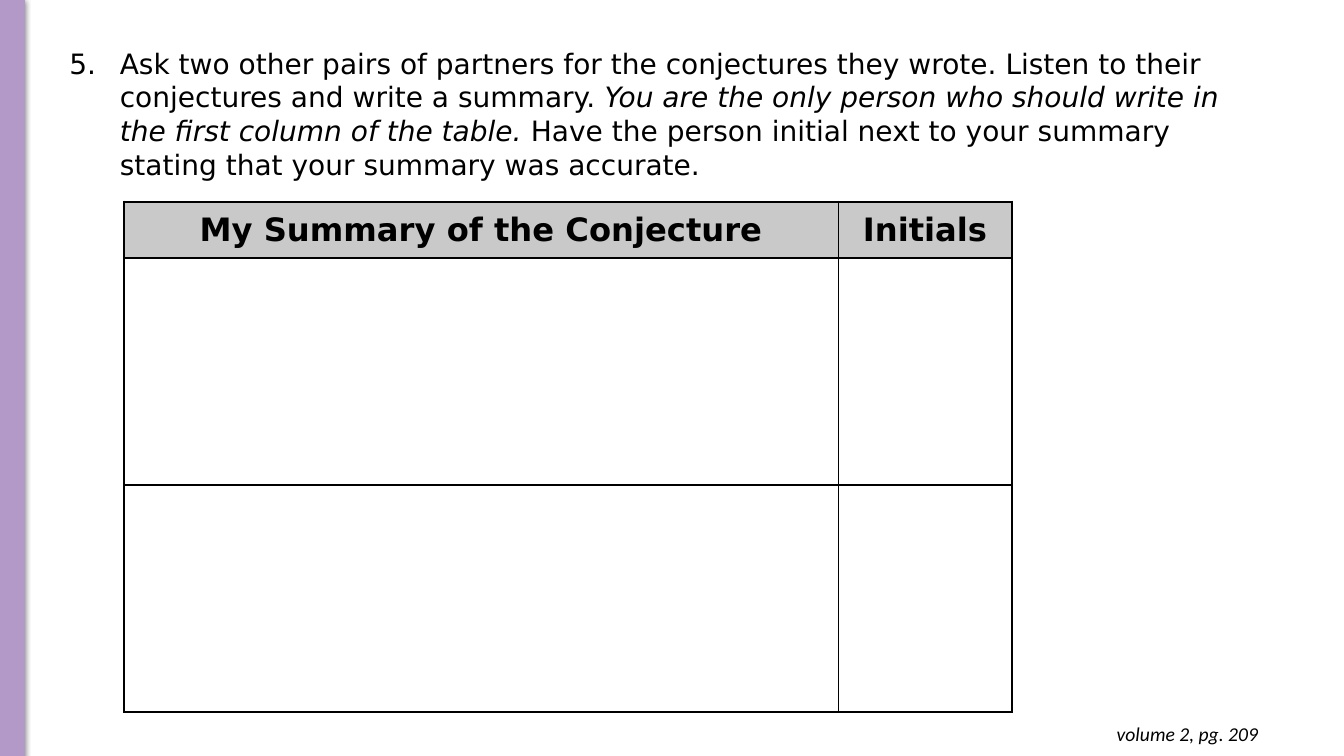
import pptx
import pptx.util
import pptx.dml.color
import pptx.enum.shapes
import pptx.enum.text
import pptx.oxml
import pptx.oxml.ns
from pptx.util import Cm, Pt

NS = pptx.oxml.ns.nsdecls("a")
ALIGN = pptx.enum.text.PP_ALIGN
BODY_FONT = "DejaVu Sans"


def rgb(hex_color):
    return pptx.dml.color.RGBColor.from_string(hex_color)


def add_run(paragraph, text, size, font, bold=False, italic=False):
    run = paragraph.add_run()
    run.text = text
    run.font.size = Pt(size)
    run.font.name = font
    run.font.bold = bold
    run.font.italic = italic
    run.font.color.rgb = rgb("000000")


deck = pptx.Presentation()
deck.slide_width = Cm(33.87)
deck.slide_height = Cm(19.05)
slide = deck.slides.add_slide(deck.slide_layouts[6])

# Side band with a soft shadow
band = slide.shapes.add_shape(
    pptx.enum.shapes.MSO_SHAPE.RECTANGLE, Cm(0), Cm(-0.02), Cm(0.61), Cm(19.08))
band.fill.solid()
band.fill.fore_color.rgb = rgb("B399C8")
band.line.color.rgb = rgb("B399C8")
band.line.width = Pt(0.75)
band.shadow.inherit = False
effects = band.element.spPr.find(pptx.oxml.ns.qn("a:effectLst"))
effects.append(pptx.oxml.parse_xml(
    f'<a:outerShdw {NS} blurRad="{Pt(4.5)}" dist="{Pt(1.5)}" dir="5400000" rotWithShape="0">'
    '<a:srgbClr val="000000"><a:alpha val="50000"/></a:srgbClr></a:outerShdw>'))

# Numbered task
task = slide.shapes.add_textbox(Cm(1.5), Cm(1.04), Cm(30.45), Cm(3.68)).text_frame
task.word_wrap = True
task.auto_size = pptx.enum.text.MSO_AUTO_SIZE.SHAPE_TO_FIT_TEXT
instruction = task.paragraphs[0]
numbering = instruction._p.get_or_add_pPr()
numbering.set("marL", str(Cm(1.27)))
numbering.set("indent", str(Cm(-1.27)))
for bullet in ('<a:buClr {}><a:srgbClr val="000000"/></a:buClr>',
               '<a:buFont {} typeface="+mj-lt"/>',
               '<a:buAutoNum {} type="arabicPeriod" startAt="5"/>'):
    numbering.append(pptx.oxml.parse_xml(bullet.format(NS)))
for text, italic in (
        ("Ask two other pairs of partners for the conjectures they wrote. "
         "Listen to their conjectures and write a summary. ", False),
        ("You are the only person who should write in the first column of the table.", True),
        (" Have the person initial next to your summary "
         "stating that your summary was accurate.", False)):
    add_run(instruction, text, 20, BODY_FONT, italic=italic)

# Page reference
reference = slide.shapes.add_textbox(Cm(24.64), Cm(17.93), Cm(7.32), Cm(1.12)).text_frame
reference.word_wrap = True
reference.auto_size = pptx.enum.text.MSO_AUTO_SIZE.SHAPE_TO_FIT_TEXT
reference.margin_top = reference.margin_bottom = Cm(0.25)
reference.paragraphs[0].alignment = ALIGN.RIGHT
add_run(reference.paragraphs[0], "volume 2, pg. 209", 14, "Calibri", italic=True)

# Summary table
column_widths = (18, 4.37)
row_heights = (1.43, 5.72, 5.72)
summary = slide.shapes.add_table(
    len(row_heights), len(column_widths), Cm(3.13), Cm(5.08),
    Cm(sum(column_widths)), Cm(sum(row_heights))).table
summary.first_row = False
summary.horz_banding = False
for column, width in zip(summary.columns, column_widths):
    column.width = Cm(width)
for row, height in zip(summary.rows, row_heights):
    row.height = Cm(height)

for cell in summary.iter_cells():
    borders = cell._tc.get_or_add_tcPr()
    for side in ("lnL", "lnR", "lnT", "lnB"):
        borders.append(pptx.oxml.parse_xml(
            f'<a:{side} {NS} w="{Pt(1.5)}"><a:solidFill><a:srgbClr val="000000"/>'
            f'</a:solidFill></a:{side}>'))
    cell.fill.background()

for column, heading in enumerate(("My Summary of the Conjecture", "Initials")):
    cell = summary.cell(0, column)
    cell.fill.solid()
    cell.fill.fore_color.rgb = rgb("C9C9C9")
    cell.vertical_anchor = pptx.enum.text.MSO_ANCHOR.MIDDLE
    cell.margin_left = cell.margin_right = Cm(0.2)
    cell.margin_top = cell.margin_bottom = Cm(0)
    title = cell.text_frame.paragraphs[0]
    title.alignment = ALIGN.CENTER
    add_run(title, heading, 23, BODY_FONT, bold=True)

deck.save("out.pptx")
